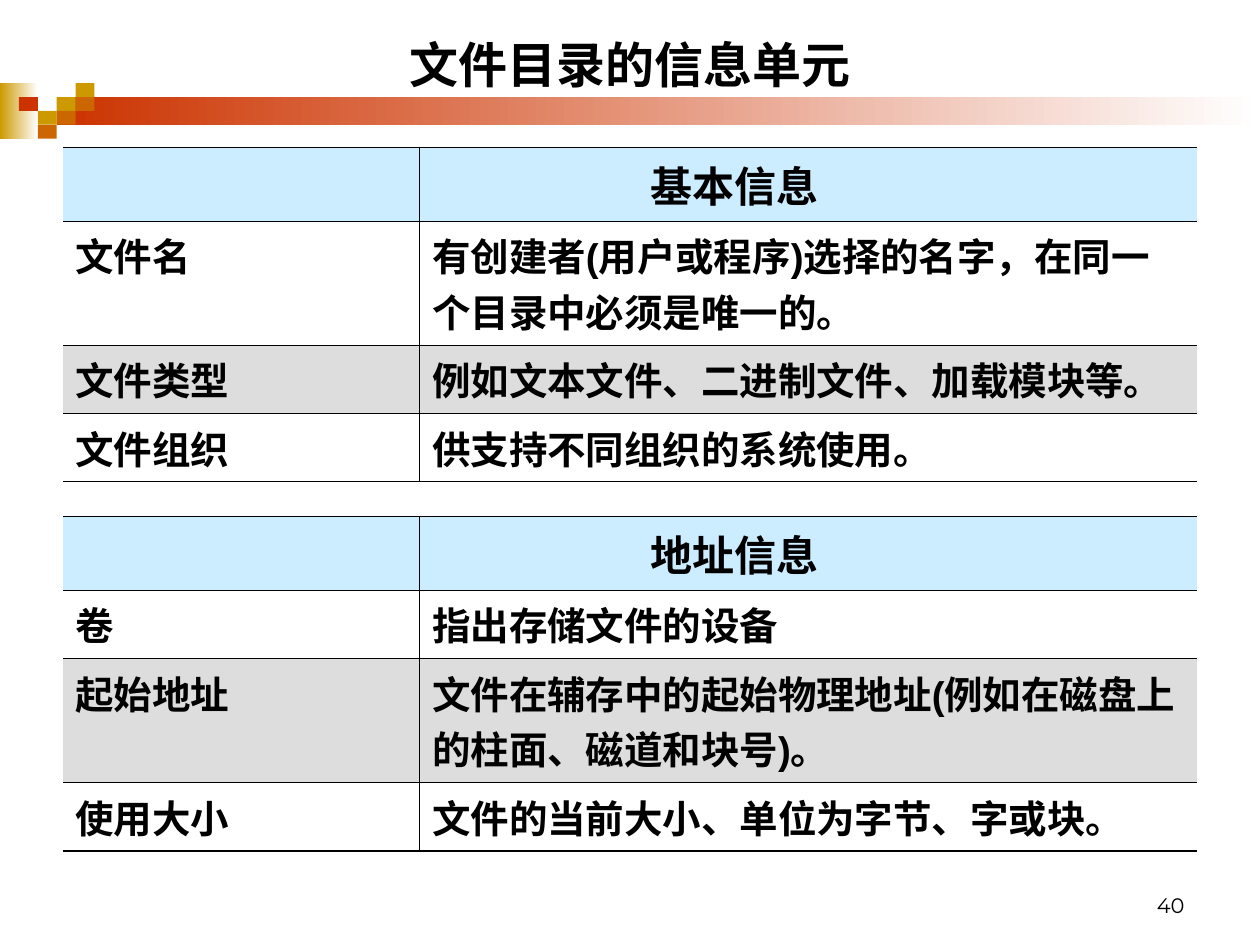
from lxml import etree
from pptx import Presentation
from pptx import util as u
from pptx.dml.color import RGBColor
from pptx.enum import shapes, text
from pptx.oxml import ns

BLACK = RGBColor(0x00, 0x00, 0x00)
WHITE = RGBColor(0xFF, 0xFF, 0xFF)
GOLD = RGBColor(0xCC, 0x99, 0x00)
ORANGE = RGBColor(0xCC, 0x66, 0x00)
RED = RGBColor(0xCC, 0x33, 0x00)
PALE_BLUE = RGBColor(0xCC, 0xEC, 0xFF)
GREY = RGBColor(0xDD, 0xDD, 0xDD)

THIN, THICK = 0.45, 1.08
HEADER_H, LINE_H, TWO_LINE_H = 0.58, 0.54, 0.98
HEADER_INDENT = 1.73

BASIC = ("基本信息", [
    ("文件名", "有创建者(用户或程序)选择的名字，在同一个目录中必须是唯一的。", TWO_LINE_H),
    ("文件类型", "例如文本文件、二进制文件、加载模块等。", LINE_H),
    ("文件组织", "供支持不同组织的系统使用。", LINE_H),
])
ADDRESS = ("地址信息", [
    ("卷", "指出存储文件的设备", LINE_H),
    ("起始地址", "文件在辅存中的起始物理地址(例如在磁盘上的柱面、磁道和块号)。", TWO_LINE_H),
    ("使用大小", "文件的当前大小、单位为字节、字或块。", LINE_H),
])


def add_run(p, words, size, font="Arial", bold=True):
    r = p.add_run()
    r.text = words
    r.font.size = u.Pt(size)
    r.font.name = font
    r.font.bold = bold
    r.font.color.rgb = BLACK


def add_block(s, x, y, w, h, color, fade=False):
    sp = s.shapes.add_shape(shapes.MSO_SHAPE.RECTANGLE,
                            *(u.Inches(v) for v in (x, y, w, h)))
    sp.shadow.inherit = False
    sp.line.fill.background()
    if fade:
        sp.fill.gradient()
        sp.fill.gradient_angle = 0
        for stop, c in zip(sp.fill.gradient_stops, (color, WHITE)):
            stop.color.rgb = c
    else:
        sp.fill.solid()
        sp.fill.fore_color.rgb = color


def add_ribbon(s, y, width):
    cw, rh = 0.15, 0.11
    add_block(s, 0, y, 2 * cw, 4 * rh, GOLD, fade=True)
    add_block(s, 3 * cw, y + rh, width - 3 * cw, 2 * rh, RED, fade=True)
    squares = [(3, 1, GOLD), (4, 0, GOLD), (4, 1, ORANGE), (2, 2, GOLD),
               (1, 1, RED), (3, 2, ORANGE), (2, 3, ORANGE)]
    for col, row, color in squares:
        add_block(s, col * cw, y + row * rh, cw, rh, color)


def set_borders(cell, left, right, top, bottom):
    tcPr = cell._tc.get_or_add_tcPr()
    for i, (side, width) in enumerate(zip("LRTB", (left, right, top, bottom))):
        ln = etree.Element(ns.qn(f"a:ln{side}"), w=str(int(u.Pt(width))))
        if width:
            fill = etree.SubElement(ln, ns.qn("a:solidFill"))
            etree.SubElement(fill, ns.qn("a:srgbClr"), val=str(BLACK))
        else:
            etree.SubElement(ln, ns.qn("a:noFill"))
        tcPr.insert(i, ln)


def add_info_table(s, x, y, w, heading, entries):
    rows = [("", heading, HEADER_H)] + entries
    heights = [row[2] for row in rows]
    tbl = s.shapes.add_table(len(rows), 2, u.Inches(x), u.Inches(y),
                             u.Inches(w), u.Inches(sum(heights))).table
    tbl.columns[0].width = u.Inches(2.83)
    tbl.columns[1].width = u.Inches(w - 2.83)
    last = len(rows) - 1
    for i, (label, detail, height) in enumerate(rows):
        tbl.rows[i].height = u.Inches(height)
        for j, words in enumerate((label, detail)):
            cell = tbl.cell(i, j)
            cell.fill.solid()
            cell.fill.fore_color.rgb = (
                PALE_BLUE if i == 0 else GREY if i == 2 else WHITE)
            set_borders(cell, THIN if j else 0, 0 if j else THIN,
                        THICK if i == 0 else THIN,
                        THICK if i == last else THIN)
            if words:
                p = cell.text_frame.paragraphs[0]
                if i == 0:
                    p._p.get_or_add_pPr().set("marL", str(u.Inches(HEADER_INDENT)))
                add_run(p, words, 22 if i else 24)


def add_title(s, x, y, w, h, words):
    sp = s.shapes.title
    sp.left, sp.top, sp.width, sp.height = (u.Inches(v) for v in (x, y, w, h))
    tf = sp.text_frame
    tf.auto_size = text.MSO_AUTO_SIZE.NONE
    tf.vertical_anchor = text.MSO_ANCHOR.MIDDLE
    p = tf.paragraphs[0]
    p.alignment = text.PP_ALIGN.CENTER
    add_run(p, words, 28)


def add_page_number(s, x, y, w, h, number):
    tf = s.shapes.add_textbox(*(u.Inches(v) for v in (x, y, w, h))).text_frame
    tf.word_wrap = True
    tf.vertical_anchor = text.MSO_ANCHOR.BOTTOM
    p = tf.paragraphs[0]
    p.alignment = text.PP_ALIGN.RIGHT
    add_run(p, number, 12, "Montserrat", bold=False)


def main():
    prs = Presentation()
    width, height, margin = 10, 7.5, 0.5
    prs.slide_width, prs.slide_height = u.Inches(width), u.Inches(height)
    s = prs.slides.add_slide(prs.slide_layouts[5])
    body = width - 2 * margin
    add_ribbon(s, 0.66, width)
    add_title(s, margin, 0.17, body, 0.67, "文件目录的信息单元")
    for y, (heading, entries) in ((1.17, BASIC), (4.1, ADDRESS)):
        add_info_table(s, margin, y, body, heading, entries)
    add_page_number(s, width - margin - 2.33, 6.83, 2.33, 0.5, "40")
    prs.save("out.pptx")


if __name__ == "__main__":
    main()
